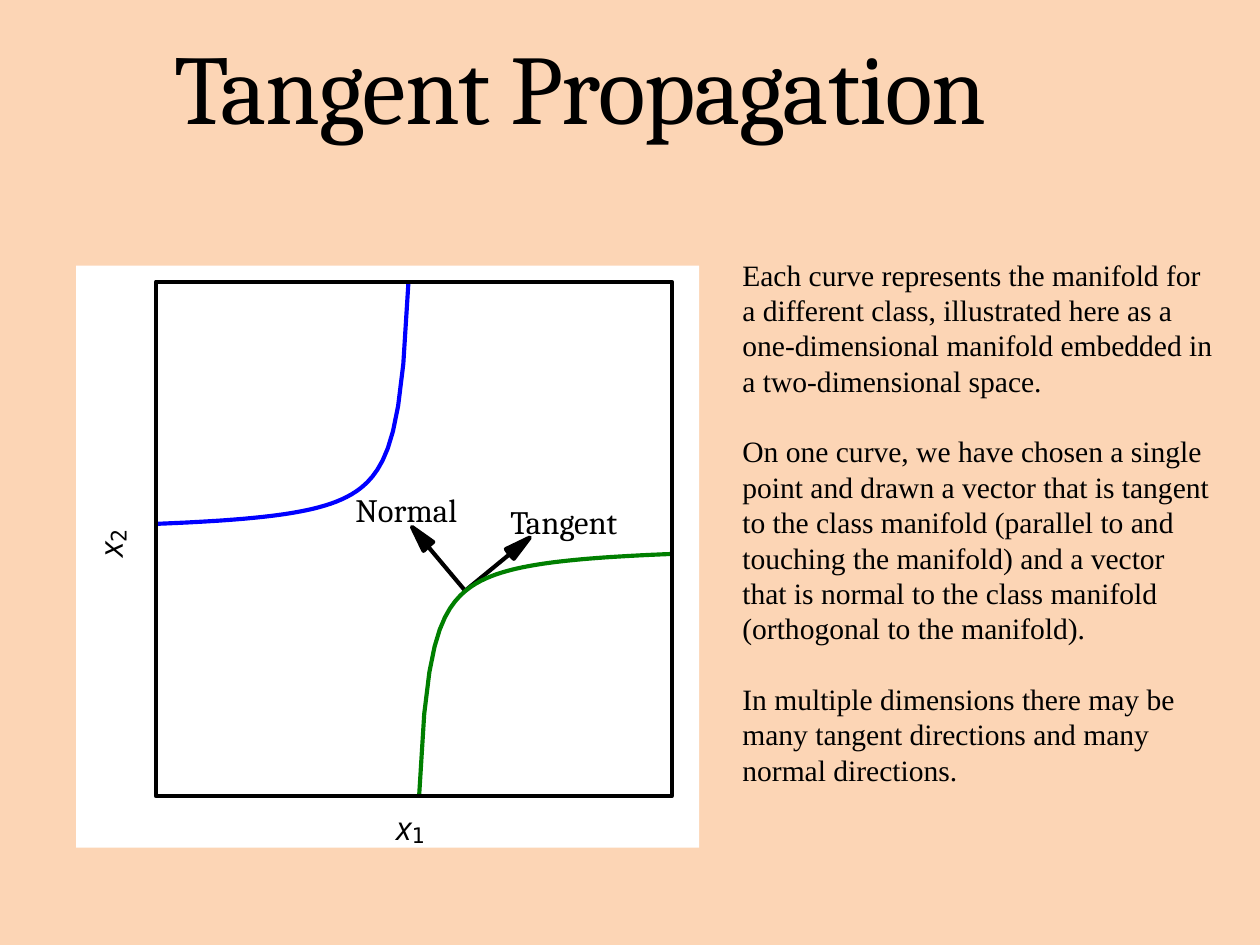
from pptx import Presentation
from pptx.dml.color import RGBColor
from pptx.enum.shapes import MSO_SHAPE
from pptx.enum.text import MSO_ANCHOR, PP_ALIGN
from pptx.util import Inches, Pt

RECT = MSO_SHAPE.RECTANGLE
TOP = MSO_ANCHOR.TOP
LEFT = PP_ALIGN.LEFT

BLACK, WHITE, PEACH = "000000", "FFFFFF", "FCD5B5"
BLUE, GREEN = "0000FF", "007F00"
SERIF, BODY = "Cambria", "Times New Roman"
LETTER, DIGIT = "Open Sans", "DejaVu Sans Mono"
STROKE = 3.36

TITLE = "Tangent Propagation"
NOTES = [
    "Each curve represents the manifold for a different class, illustrated here as a "
    "one-dimensional manifold embedded in a two-dimensional space.",
    "On one curve, we have chosen a single point and drawn a vector that is tangent to "
    "the class manifold (parallel to and touching the manifold) and a vector that is "
    "normal to the class manifold (orthogonal to the manifold).",
    "In multiple dimensions there may be many tangent directions and many normal "
    "directions.",
]
LINE = 28.75  # body line pitch, points

PANEL = (0.86, 3, 7.03, 6.57)
PLOT = (1.76, 3.18, 5.82, 5.81)
TOUCH = (5.25, 6.67)
# Each arrow: tip, one barb, neck, other barb
ARROWS = [
    [(5.98, 6.07), (5.71, 6.2), (5.75, 6.26), (5.8, 6.31)],
    [(4.65, 5.95), (4.78, 6.22), (4.83, 6.17), (4.89, 6.12)],
]
LABELS = [("Normal", (4.01, 5.49, 1.3, 0.47)), ("Tangent", (5.76, 5.63, 1.42, 0.47))]
# Subscript, place, text direction, left inset
AXES = [("1", (4.43, 9.05, 0.48, 0.47), "horz", 0.04),
        ("2", (1.11, 5.88, 0.43, 0.42), "vert270", 0)]

# The curve falls from START to nearly FLOOR across SPAN
START, FLOOR, SPAN, BEND, STEPS = (4.73, 8.99), 6.14, 2.85, 0.12, 49


def color(code):
    return RGBColor.from_string(code)


def inches(place):
    return [Inches(v) for v in place]


def write(para, text, font=SERIF, size=26.5, italic=False, spacing=0, shift=0):
    """Add a run; spacing is in points, shift is a baseline offset in percent."""
    run = para.add_run()
    run.text = text
    run.font.name, run.font.size, run.font.italic = font, Pt(size), italic
    run.font.color.rgb = color(BLACK)
    props = run.font._element
    if spacing:
        props.set("spc", str(round(spacing * 100)))
    if shift:
        props.set("baseline", str(shift * 1000))


def setup(frame, left=0, top=0.0):
    frame.word_wrap = True
    frame.vertical_anchor = TOP
    frame.margin_left, frame.margin_top = Inches(left), Inches(top)
    frame.margin_right = frame.margin_bottom = 0
    para = frame.paragraphs[0]
    para.alignment = LEFT
    return para


def textbox(place, **insets):
    frame = slide.shapes.add_textbox(*inches(place)).text_frame
    return frame, setup(frame, **insets)


def paint(shape, fill=None, line=None):
    shape.shadow.inherit = False
    if fill:
        shape.fill.solid()
        shape.fill.fore_color.rgb = color(fill)
    else:
        shape.fill.background()
    if line:
        shape.line.color.rgb = color(line)
        shape.line.width = Pt(STROKE)
    else:
        shape.line.fill.background()


def outline(points, close=False, **look):
    dots = [inches(p) for p in points]
    pen = slide.shapes.build_freeform(*dots[0])
    pen.add_line_segments(dots[1:], close=close)
    paint(pen.convert_to_shape(), **look)


deck = Presentation()
deck.slide_width, deck.slide_height = Inches(14.22), Inches(10.67)
slide = deck.slides.add_slide(deck.slide_layouts[5])
slide.background.fill.solid()
slide.background.fill.fore_color.rgb = color(PEACH)

title = slide.shapes.title
title.left, title.top, title.width, title.height = inches((1.97, 0.28, 10.29, 1.36))
write(setup(title.text_frame, top=0.02), TITLE, size=80, spacing=-0.9)

paint(slide.shapes.add_shape(RECT, *inches(PANEL)), fill=WHITE)

for tip, barb, neck, other in ARROWS:
    outline([tip, barb, neck, TOUCH, neck, other], close=True, fill=BLACK, line=BLACK)

steps = [SPAN * i / STEPS for i in range(STEPS + 1)]
lower = [(START[0] + t, FLOOR + (START[1] - FLOOR) / (1 + t / BEND)) for t in steps]
left, top, width, height = PLOT
upper = [(2 * left + width - x, 2 * top + height - y) for x, y in lower]
outline(upper, line=BLUE)
outline(lower, line=GREEN)
paint(slide.shapes.add_shape(RECT, *inches(PLOT)), line=BLACK)

for digit, place, turn, inset in AXES:
    frame, para = textbox(place, left=inset, top=0.02 if turn == "horz" else 0)
    frame._txBody.bodyPr.set("vert", turn)
    if turn != "horz":
        para.line_spacing = Pt(26.4)
    write(para, "x", font=LETTER, italic=True)
    write(para, digit, font=DIGIT, size=30, shift=-10)

for label, place in LABELS:
    frame, para = textbox(place, top=0.04)
    write(para, label)

frame, para = textbox((8.28, 2.85, 5.51, 6.16), left=0.1, top=0.05)
frame.margin_right = Inches(0.1)
for i, note in enumerate(NOTES):
    para = frame.add_paragraph() if i else para
    para.line_spacing = Pt(LINE)
    para.space_after = Pt(LINE)
    write(para, note, font=BODY, size=24)

deck.save("out.pptx")
